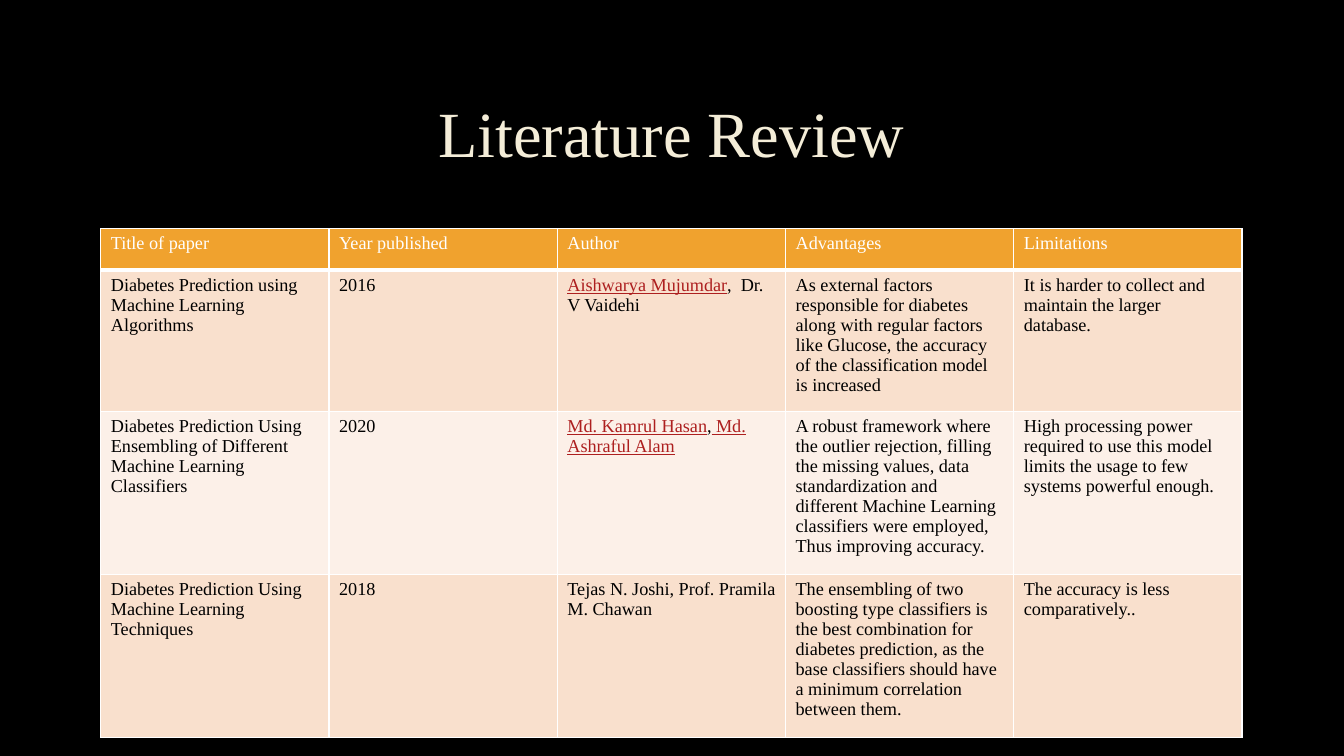
from dataclasses import dataclass

from lxml import etree
from pptx import Presentation
from pptx.dml.color import RGBColor
from pptx.enum import text as t
from pptx.oxml import ns
from pptx.util import Inches, Pt

BLACK = RGBColor(0x00, 0x00, 0x00)
WHITE = RGBColor(0xFF, 0xFF, 0xFF)
CREAM = RGBColor(0xF4, 0xED, 0xD8)
GREY = RGBColor(0x40, 0x40, 0x40)
ORANGE = RGBColor(0xF0, 0xA2, 0x2E)
PEACH = RGBColor(0xF9, 0xE0, 0xCD)
PALE = RGBColor(0xFC, 0xF0, 0xE8)
RED = RGBColor(0xAD, 0x1F, 0x1F)
FONT = "Times New Roman"
LEFT, WIDTH = Inches(1), Inches(11.32)


@dataclass
class Name:
    """A piece of an author list, underlined in red when marked."""
    text: str
    marked: bool = False


@dataclass
class Paper:
    title: str
    year: str
    authors: list[Name]
    gain: str
    limit: str
    height: float

    def cells(self) -> list[list[Name]]:
        return [[Name(self.title)], [Name(self.year)], self.authors,
                [Name(self.gain)], [Name(self.limit)]]


HEADS = ["Title of paper", "Year published", "Author", "Advantages", "Limitations"]
PAPERS = [
    Paper("Diabetes Prediction using Machine Learning Algorithms", "2016",
          [Name("Aishwarya Mujumdar", True), Name(",  Dr. V Vaidehi")],
          "As external factors responsible for diabetes along with regular factors "
          "like Glucose, the accuracy of the classification model is increased",
          "It is harder to collect and maintain the larger database.", 1.3),
    Paper("Diabetes Prediction Using Ensembling of Different Machine Learning Classifiers",
          "2020",
          [Name("Md. Kamrul Hasan", True), Name(","), Name(" Md. Ashraful Alam", True)],
          "A robust framework where the outlier rejection, filling the missing values, "
          "data standardization and different Machine Learning classifiers were "
          "employed, Thus improving accuracy.",
          "High processing power required to use this model limits the usage to few "
          "systems powerful enough.", 1.49),
    Paper("Diabetes Prediction Using Machine Learning Techniques", "2018",
          [Name("Tejas N. Joshi, Prof. Pramila M. Chawan")],
          "The ensembling of two boosting type classifiers is the best combination for "
          "diabetes prediction, as the base classifiers should have a minimum "
          "correlation between them.",
          "The accuracy is less comparatively..", 1.49),
]


def add_run(para, words: str, size: float, color: RGBColor, **extra):
    run = para.add_run()
    run.text = words
    for key, value in {"name": FONT, "size": Pt(size), **extra}.items():
        setattr(run.font, key, value)
    run.font.color.rgb = color
    return run


def add_line(props, tag: str, width: float, color: RGBColor, alpha: int = 100) -> None:
    """Put a solid line ahead of the fill in a run's or cell's properties."""
    line = etree.Element(ns.qn(tag), w=str(Pt(width)))
    fill = etree.SubElement(line, ns.qn("a:solidFill"))
    tone = etree.SubElement(fill, ns.qn("a:srgbClr"), val=str(color))
    if alpha < 100:
        etree.SubElement(tone, ns.qn("a:alpha"), val=str(alpha * 1000))
    props.insert(0, line)


def add_title(slide) -> None:
    frame = slide.shapes.add_textbox(LEFT, Inches(0.67), WIDTH, Inches(1.38)).text_frame
    frame.word_wrap = True
    frame.vertical_anchor = t.MSO_ANCHOR.MIDDLE
    para = frame.paragraphs[0]
    para.alignment = t.PP_ALIGN.CENTER
    para.line_spacing = 0.9
    run = add_run(para, "Literature Review", 46, CREAM)
    add_line(run.font._element, "a:ln", 0.75, GREY, 10)


def fill_cell(cell, names: list[Name], color: RGBColor, ink: RGBColor, base: float) -> None:
    cell.fill.solid()
    cell.fill.fore_color.rgb = color
    for name in names:
        add_run(cell.text_frame.paragraphs[0], name.text, 13,
                RED if name.marked else ink, underline=name.marked)
    props = cell._tc.get_or_add_tcPr()
    for side, width in (("B", base), ("T", 1), ("R", 1), ("L", 1)):
        add_line(props, f"a:ln{side}", width, WHITE)


def add_review(slide) -> None:
    heights = [0.41] + [paper.height for paper in PAPERS]
    table = slide.shapes.add_table(len(heights), len(HEADS), LEFT, Inches(2.27),
                                   WIDTH, Inches(sum(heights))).table
    for row, height in zip(table.rows, heights):
        row.height = Inches(height)
    for col, head in enumerate(HEADS):
        fill_cell(table.cell(0, col), [Name(head)], ORANGE, WHITE, 3)
    for row, paper in enumerate(PAPERS, 1):
        for col, names in enumerate(paper.cells()):
            fill_cell(table.cell(row, col), names, PEACH if row % 2 else PALE, BLACK, 1)


def main() -> None:
    deck = Presentation()
    deck.slide_width, deck.slide_height = Inches(13.33), Inches(7.5)
    slide = deck.slides.add_slide(deck.slide_layouts[6])
    slide.background.fill.solid()
    slide.background.fill.fore_color.rgb = BLACK
    add_title(slide)
    add_review(slide)
    deck.save("out.pptx")


if __name__ == "__main__":
    main()
